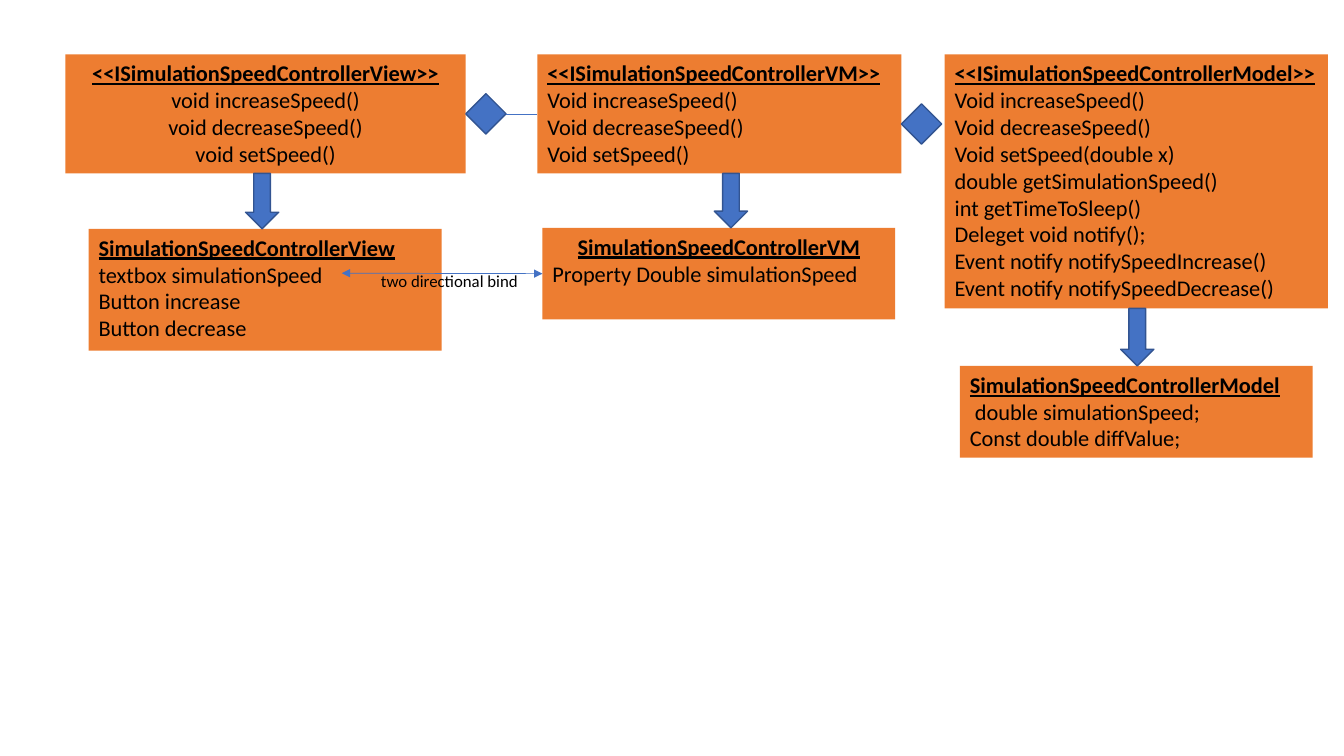
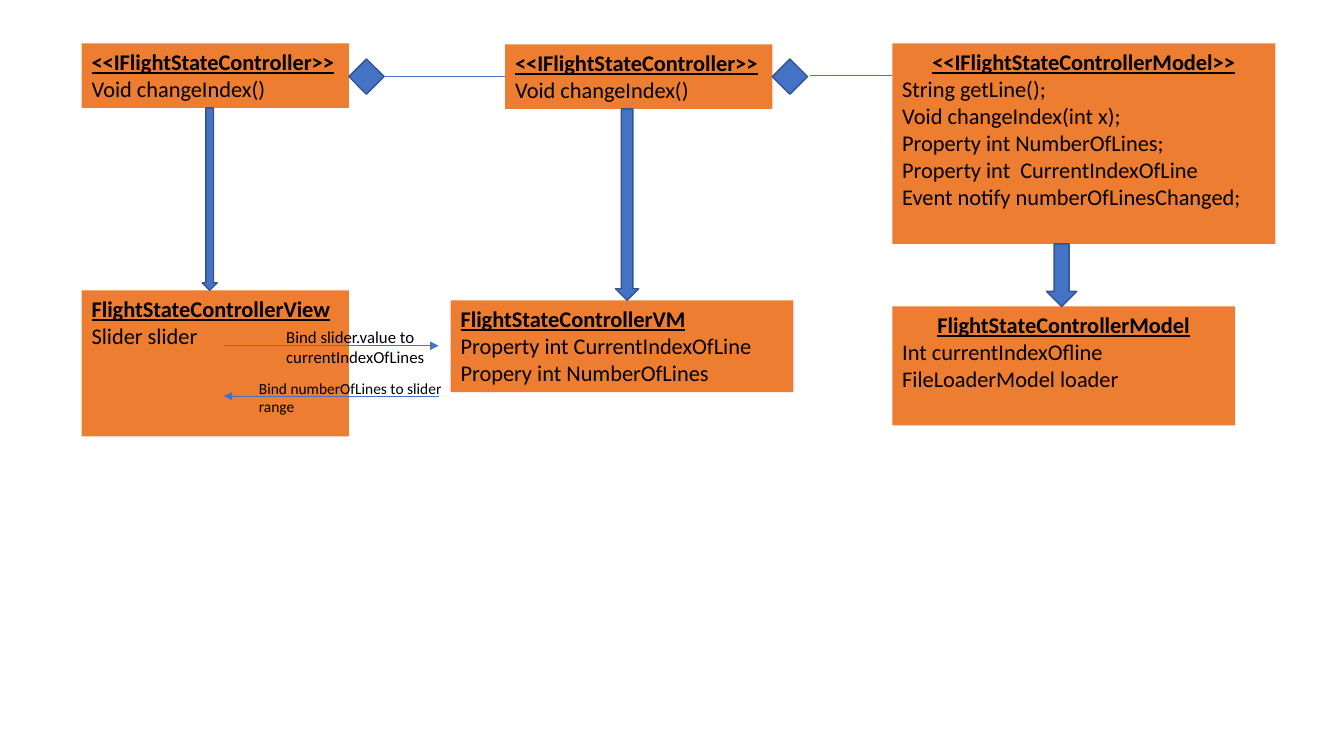
import pptx
import pptx.util
import pptx.dml.color
import pptx.enum.shapes
import pptx.enum.text
import pptx.oxml
from pptx.oxml import ns

Inches, Pt = pptx.util.Inches, pptx.util.Pt
RGBColor = pptx.dml.color.RGBColor
SHAPE = pptx.enum.shapes.MSO_SHAPE
ALIGN = pptx.enum.text.PP_ALIGN
ORANGE = RGBColor(0xED, 0x7D, 0x31)
BLUE = RGBColor(0x44, 0x72, 0xC4)
NAVY = RGBColor(0x32, 0x54, 0x91)
BLACK = RGBColor(0, 0, 0)

BODY = {"name": "Calibri", "size": Pt(16), "bold": False, "underline": False}
HEAD = {**BODY, "bold": True, "underline": True}
LEFT, RIGHT = 1, 3

# boxes: name -> (left, top, width, height), count of centred lines, lines
# arrows: upper box, lower box, centre x, width
# gems: name -> box on the left, centre y, size
# links: start, end (a point or a shape and its side), heads
# labels: (left, top, width, height), point size, text
SLIDES = [
    {
        "boxes": {
            "iview": ((0.65, 0.54, 3.97, 1.18), 4, [
                "<<ISimulationSpeedControllerView>>", "void increaseSpeed()",
                "void decreaseSpeed()", "void setSpeed()"]),
            "view": ((0.88, 2.27, 3.5, 1.21), 0, [
                "SimulationSpeedControllerView", "textbox simulationSpeed",
                "Button increase", "Button decrease"]),
            "vm": ((5.38, 2.26, 3.5, 0.91), 1, [
                "SimulationSpeedControllerVM",
                "Property Double simulationSpeed"]),
            "ivm": ((5.33, 0.54, 3.61, 1.18), 0, [
                "<<ISimulationSpeedControllerVM>>", "Void increaseSpeed()",
                "Void decreaseSpeed()", "Void setSpeed()"]),
            "imodel": ((9.37, 0.54, 3.8, 2.52), 0, [
                "<<ISimulationSpeedControllerModel>>", "Void increaseSpeed()",
                "Void decreaseSpeed()", "Void setSpeed(double x)",
                "double getSimulationSpeed()", "int getTimeToSleep()",
                "Deleget void notify();", "Event notify notifySpeedIncrease()",
                "Event notify notifySpeedDecrease()"]),
            "model": ((9.52, 3.63, 3.5, 0.91), 0, [
                "SimulationSpeedControllerModel", " double simulationSpeed;",
                "Const double diffValue;"]),
        },
        "arrows": [("iview", "view", 2.6, 0.33), ("ivm", "vm", 7.25, 0.33),
                   ("imodel", "model", 11.28, 0.33)],
        "gems": {"gem1": ("iview", 1.13, 0.4), "gem2": ("ivm", 1.23, 0.4)},
        "links": [((3.39, 2.71), ("vm", LEFT), ("headEnd", "tailEnd")),
                  (("gem1", RIGHT), ("ivm", LEFT), ())],
        "labels": [((3.68, 2.64, 1.84, 0.3), 12, "two directional bind")],
    },
    {
        "boxes": {
            "iview": ((0.81, 0.43, 2.65, 0.64), 0, [
                "<<IFlightStateController>>", "Void changeIndex()"]),
            "view": ((0.81, 2.88, 2.65, 1.45), 0, [
                "FlightStateControllerView", "Slider slider"]),
            "vm": ((4.47, 2.98, 3.4, 0.91), 0, [
                "FlightStateControllerVM", "Property int CurrentIndexOfLine",
                "Propery int NumberOfLines"]),
            "model": ((8.85, 3.04, 3.4, 1.18), 1, [
                "FlightStateControllerModel", "Int currentIndexOfline",
                "FileLoaderModel loader"]),
            "imodel": ((8.85, 0.43, 3.8, 1.99), 1, [
                "<<IFlightStateControllerModel>>", "String getLine();",
                "Void changeIndex(int x);", "Property int NumberOfLines;",
                "Property int  CurrentIndexOfLine",
                "Event notify numberOfLinesChanged;"]),
            "ivm": ((5.01, 0.44, 2.65, 0.64), 0, [
                "<<IFlightStateController>>", "Void changeIndex()"]),
        },
        "arrows": [("iview", "view", 2.08, 0.15), ("ivm", "vm", 6.22, 0.23),
                   ("imodel", "model", 10.53, 0.3)],
        "gems": {"gem1": ("iview", 0.76, 0.35), "gem2": ("ivm", 0.76, 0.35)},
        "links": [((2.22, 3.43), (4.35, 3.43), ("tailEnd",)),
                  ((4.35, 3.93), (2.22, 3.93), ("tailEnd",)),
                  (("gem1", RIGHT), ("ivm", LEFT), ()),
                  ((8.03, 0.75), (8.85, 0.75), ())],
        "labels": [
            ((2.74, 3.19, 1.84, 0.5), 12,
             "Bind slider.value to currentIndexOfLines"),
            ((2.47, 3.71, 2.03, 0.47), 11,
             "Bind numberOfLines to slider range")],
    },
]


def style(para, text, form):
    run = para.add_run()
    run.text = text
    run.font.color.rgb = BLACK
    for key, value in form.items():
        setattr(run.font, key, value)


def add_form(slide, kind, place, fill, edge=None):
    """Add a preset shape; place is left, top, width, height as lengths."""
    shape = slide.shapes.add_shape(kind, *place)
    shape.shadow.inherit = False
    shape.fill.solid()
    shape.fill.fore_color.rgb = fill
    if edge is None:
        shape.line.fill.background()
    else:
        shape.line.color.rgb = edge
        shape.line.width = Pt(1)
    return shape


def add_box(slide, place, mid, lines):
    box = add_form(slide, SHAPE.RECTANGLE, map(Inches, place), ORANGE)
    frame = box.text_frame
    frame.word_wrap = True
    frame.vertical_anchor = pptx.enum.text.MSO_ANCHOR.TOP
    for row, line in enumerate(lines):
        para = frame.add_paragraph() if row else frame.paragraphs[0]
        para.alignment = ALIGN.CENTER if row < mid else ALIGN.LEFT
        style(para, line, BODY if row else HEAD)
    return box


def add_arrow(slide, upper, lower, mid, width):
    top = upper.top + upper.height
    place = Inches(mid - width / 2), top, Inches(width), lower.top - top
    add_form(slide, SHAPE.DOWN_ARROW, place, BLUE, NAVY)


def add_gem(slide, box, mid, size):
    place = (box.left + box.width, Inches(mid - size / 2),
             Inches(size), Inches(size))
    return add_form(slide, SHAPE.DIAMOND, place, BLUE, NAVY)


def add_link(slide, parts, start, end, heads):
    spots = [(0, 0) if spot[0] in parts else spot for spot in (start, end)]
    link = slide.shapes.add_connector(
        pptx.enum.shapes.MSO_CONNECTOR.STRAIGHT,
        *(Inches(num) for spot in spots for num in spot))
    for spot, join in ((start, link.begin_connect), (end, link.end_connect)):
        if spot[0] in parts:
            join(parts[spot[0]], spot[1])
    link.line.color.rgb = BLUE
    link.line.width = Pt(0.5)
    line = link.line._get_or_add_ln()
    for head in heads:
        line.append(pptx.oxml.parse_xml(
            f'<a:{head} {ns.nsdecls("a")} type="triangle"/>'))
    link._element.spPr.append(
        pptx.oxml.parse_xml(f'<a:effectLst {ns.nsdecls("a")}/>'))


def add_label(slide, place, size, text):
    frame = slide.shapes.add_textbox(*map(Inches, place)).text_frame
    frame.word_wrap = True
    style(frame.paragraphs[0], text, {**BODY, "size": Pt(size)})


def build(slide, data):
    parts = {name: add_box(slide, *box) for name, box in data["boxes"].items()}
    for upper, lower, mid, width in data["arrows"]:
        add_arrow(slide, parts[upper], parts[lower], mid, width)
    for name, (box, mid, size) in data["gems"].items():
        parts[name] = add_gem(slide, parts[box], mid, size)
    for link in data["links"]:
        add_link(slide, parts, *link)
    for label in data["labels"]:
        add_label(slide, *label)


def main():
    deck = pptx.Presentation()
    deck.slide_width, deck.slide_height = Inches(13.33), Inches(7.5)
    blank = deck.slide_layouts[6]
    for data in SLIDES:
        build(deck.slides.add_slide(blank), data)
    deck.save("out.pptx")


if __name__ == "__main__":
    main()
